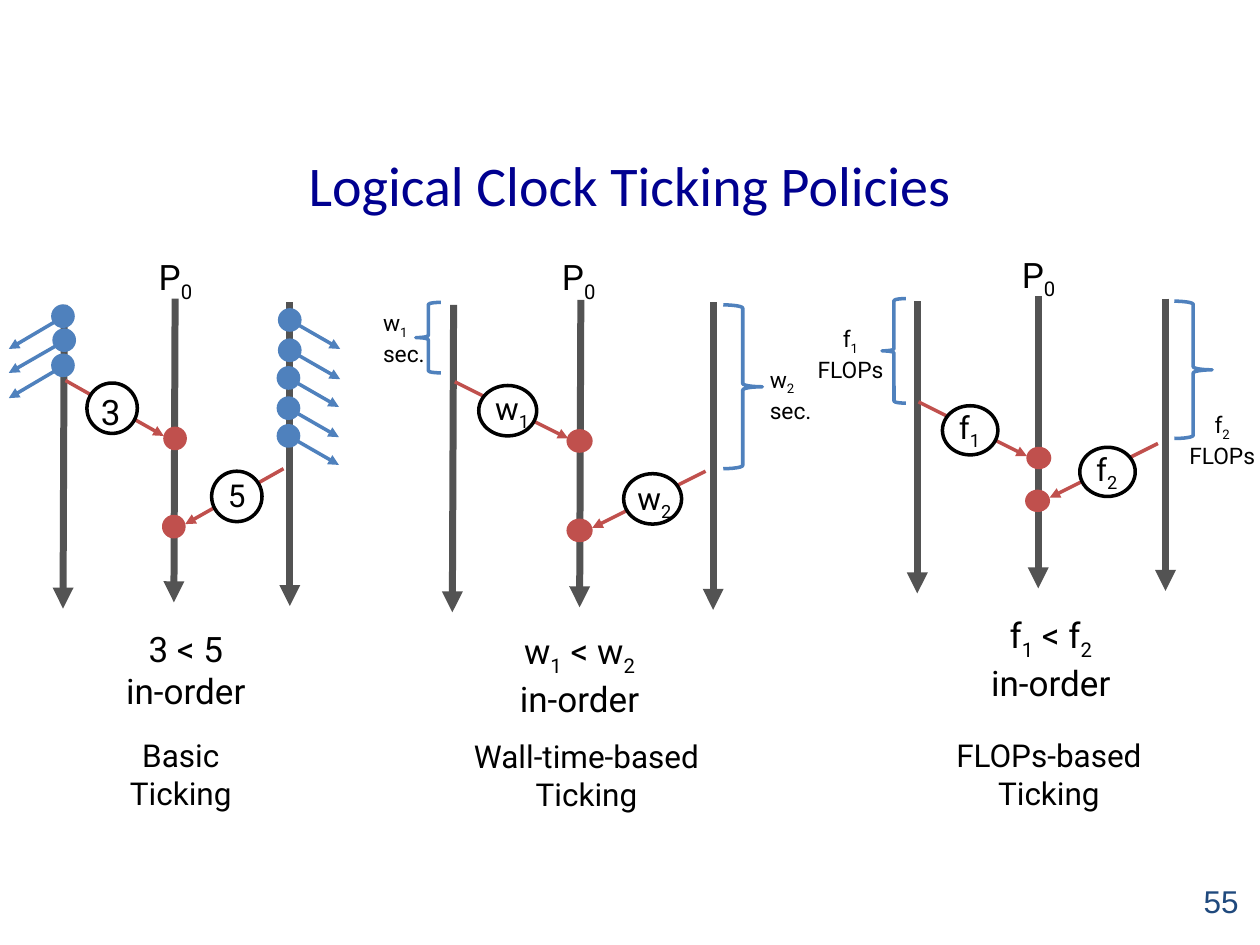
import pptx
import pptx.util
import pptx.dml.color
import pptx.enum.shapes
import pptx.enum.text
from lxml import etree

Inches = pptx.util.Inches
Pt = pptx.util.Pt
RGB = pptx.dml.color.RGBColor.from_string
Kind = pptx.enum.shapes.MSO_SHAPE
Align = pptx.enum.text.PP_ALIGN
Anchor = pptx.enum.text.MSO_ANCHOR
NS = "{http://schemas.openxmlformats.org/drawingml/2006/main}"

hues = {"navy": "000090", "page": "1F497D", "gray": "535353", "red": "C0504D",
        "blue": "4F81BD", "black": "000000", "white": "FFFFFF"}

deck = pptx.Presentation()
deck.slide_width = Inches(10)
deck.slide_height = Inches(7.5)
slide = deck.slides.add_slide(deck.slide_layouts[6])


def write(words, x, y, w, h, size=20, font="Roboto", hue="black",
          align=Align.LEFT, anchor=Anchor.TOP):
    box = slide.shapes.add_textbox(Inches(x), Inches(y), Inches(w), Inches(h))
    frame = box.text_frame
    frame.word_wrap = True
    frame.vertical_anchor = anchor
    frame.margin_left = frame.margin_right = Inches(0.05)
    frame.margin_top = frame.margin_bottom = Inches(0.05)
    para = frame.paragraphs[0]
    para.alignment = align
    for row, line in enumerate(words.split("\n")):
        if row:
            para.add_line_break()
        first, *rest = line.split("_")
        parts = [(first, False)]
        for part in rest:
            parts += [(part[0], True), (part[1:], False)]
        for part, low in parts:
            if part:
                run = para.add_run()
                run.text = part
                run.font.size = Pt(size)
                run.font.name = font
                run.font.color.rgb = RGB(hues[hue])
                if low:
                    run._r.get_or_add_rPr().set("baseline", "-25000")


lanes = [
    (1.39, 2.37, 1.38, 4.78), (2.3, 2.4, 2.3, 4.81), (0.51, 2.42, 0.5, 4.83),
    (4.61, 2.38, 4.6, 4.82), (5.66, 2.4, 5.66, 4.84), (3.6, 2.42, 3.59, 4.86),
    (8.24, 2.35, 8.24, 4.67), (9.25, 2.37, 9.25, 4.69), (7.28, 2.39, 7.28, 4.71),
]
sends = [
    (0.52, 3.02, 1.3, 3.46), (2.25, 3.72, 1.47, 4.16),
    (3.61, 3.03, 4.51, 3.48), (5.6, 3.74, 4.7, 4.19),
    (7.29, 3.19, 8.15, 3.62), (9.19, 3.52, 8.33, 3.95),
]
rings = [
    (0.69, 3.04, 0.4, 0.4), (1.68, 3.74, 0.4, 0.4),
    (3.8, 3.06, 0.46, 0.4), (4.95, 3.76, 0.46, 0.4),
    (7.48, 3.22, 0.44, 0.39), (8.57, 3.55, 0.44, 0.39),
]
gets = [
    (1.31, 3.4, 0.16, 0.16), (1.3, 4.1, 0.16, 0.16),
    (4.51, 3.42, 0.18, 0.16), (4.51, 4.13, 0.18, 0.16),
    (8.16, 3.56, 0.17, 0.15), (8.15, 3.9, 0.17, 0.15),
]
left = [(0.42, 2.43), (0.43, 2.62), (0.42, 2.82)]
right = [(2.22, 2.46), (2.22, 2.7), (2.21, 2.92), (2.21, 3.16), (2.21, 3.38)]
braces = [
    (Kind.LEFT_BRACE, 3.3, 2.4, 0.2, 0.56), (Kind.RIGHT_BRACE, 5.74, 2.42, 0.31, 1.3),
    (Kind.LEFT_BRACE, 7, 2.37, 0.19, 0.83), (Kind.RIGHT_BRACE, 9.32, 2.39, 0.3, 1.09),
]

lines = [(lane, "gray", 4) for lane in lanes]
lines += [(send, "red", 2) for send in sends]
lines += [((x + 0.04, y + 0.11, 0.07, y + 0.34), "blue", 2) for x, y in left]
lines += [((x + 0.08, y + 0.08, x + 0.48, y + 0.31), "blue", 2) for x, y in right]
for ends, hue, width in lines:
    arrow = slide.shapes.add_connector(
        pptx.enum.shapes.MSO_CONNECTOR.STRAIGHT, *[Inches(n) for n in ends])
    arrow.line.color.rgb = RGB(hues[hue])
    arrow.line.width = Pt(width)
    etree.SubElement(arrow.line._get_or_add_ln(), NS + "tailEnd", type="triangle")
    etree.SubElement(arrow._element.spPr, NS + "effectLst")

marks = [(Kind.OVAL, *ring, "white", "black") for ring in rings]
marks += [(Kind.OVAL, *get, "red", "red") for get in gets]
marks += [(Kind.OVAL, x, y, 0.16, 0.16, "blue", "blue") for x, y in left + right]
marks += [(*brace, None, "blue") for brace in braces]
for kind, x, y, w, h, fill, edge in marks:
    mark = slide.shapes.add_shape(kind, Inches(x), Inches(y), Inches(w), Inches(h))
    mark.shadow.inherit = False
    if fill:
        mark.fill.solid()
        mark.fill.fore_color.rgb = RGB(hues[fill])
    else:
        mark.fill.background()
    mark.line.color.rgb = RGB(hues[edge])
    mark.line.width = Pt(2)

write("Logical Clock Ticking Policies", 0.5, 0.92, 9, 1.08, size=32,
      font="Calibri", hue="navy", align=Align.CENTER, anchor=Anchor.MIDDLE)
write("55", 7.55, 6.95, 2.33, 0.4, size=18, font="Arial", hue="page",
      align=Align.RIGHT, anchor=Anchor.MIDDLE)

for x, y in [(1.21, 1.98), (4.41, 1.98), (8.06, 1.96)]:
    write("P_0", x, y, 0.5, 0.35)

for words, x, y, size in [
    ("3", 0.75, 3.05, 20), ("5", 1.76, 3.73, 18),
    ("w_1", 3.88, 3.04, 18), ("w_2", 5.01, 3.75, 18),
    ("f_1", 7.56, 3.19, 18), ("f_2", 8.65, 3.52, 18),
]:
    write(words, x, y, 0.44, 0.39, size=size)

for words, x, y in [("w_1\nsec.", 2.99, 2.4), ("w_2\nsec.", 6.06, 2.85)]:
    write(words, x, y, 0.61, 0.54, size=13)
for words, x, y in [("f_1\nFLOPs", 6.41, 2.53), ("f_2\nFLOPs", 9.36, 3.21)]:
    write(words, x, y, 0.68, 0.54, size=13, align=Align.CENTER)

for words, x, y, w in [
    ("3 < 5", 0.69, 4.93, 1.57), ("w_1 < w_2", 3.7, 4.95, 1.8),
    ("f_1 < f_2", 7.48, 4.82, 1.72),
]:
    write(words + "\nin-order", x, y, w, 0.62, align=Align.CENTER)

for words, x, y in [
    ("Basic", 0.33, 5.79), ("Wall-time-based", 3.55, 5.8), ("FLOPs-based", 7.22, 5.79),
]:
    write(words + "\nTicking", x, y, 2.21, 0.71, size=18, align=Align.CENTER)

deck.save("out.pptx")
